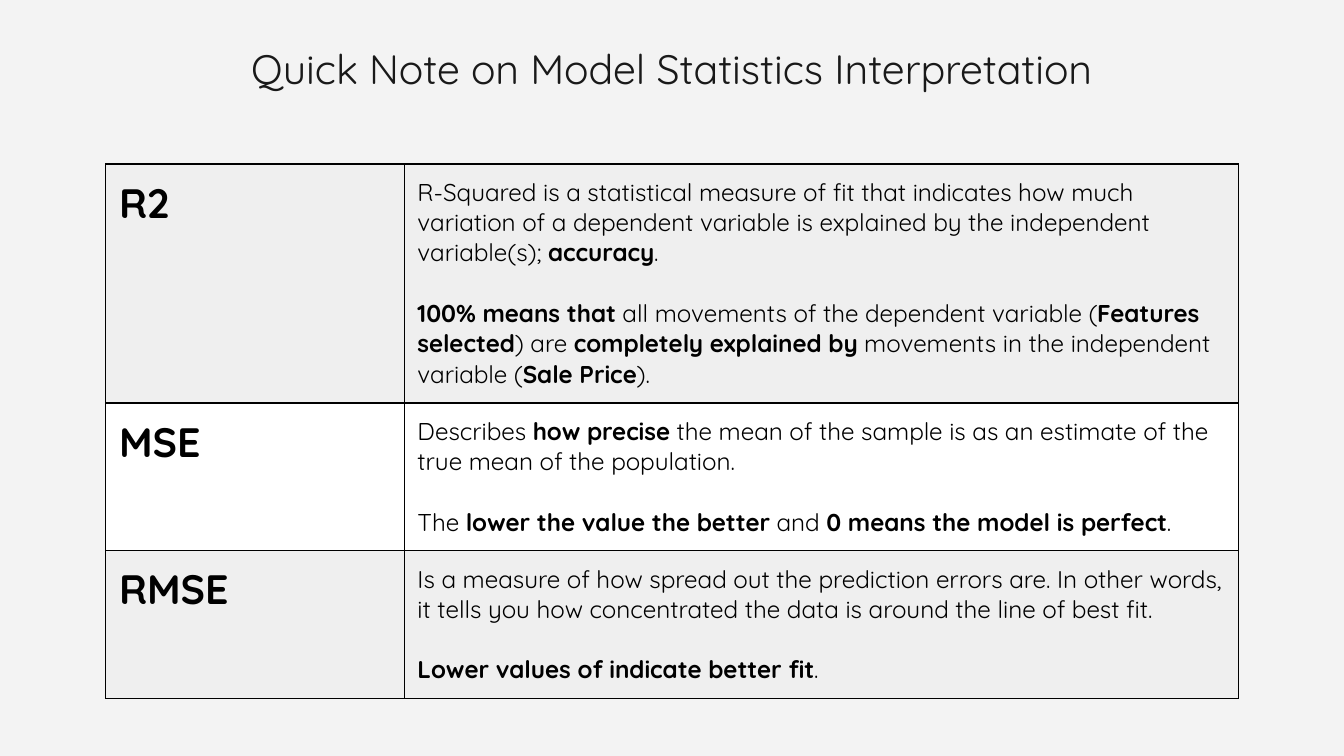
from lxml.etree import SubElement
from pptx import Presentation
from pptx.dml.color import RGBColor
from pptx.enum.text import MSO_ANCHOR, PP_ALIGN
from pptx.oxml.ns import qn
from pptx.util import Cm, Pt

# Content: **...** marks bold words
TITLE = "Quick Note on Model Statistics Interpretation"
STATISTICS = [
    ("**R2**", [
        "R-Squared is a statistical measure of fit that indicates how much variation of a "
        "dependent variable is explained by the independent variable(s); **accuracy**.",
        "**100% means that** all movements of the dependent variable (**Features selected**) are "
        "**completely explained by** movements in the independent variable (**Sale Price**).",
    ]),
    ("**MSE**", [
        "Describes **how precise** the mean of the sample is as an estimate of the true mean "
        "of the population.",
        "The **lower the value the better** and **0 means the model is perfect**.",
    ]),
    ("**RMSE**", [
        "Is a measure of how spread out the prediction errors are. In other words, it tells you "
        "how concentrated the data is around the line of best fit.",
        "**Lower values of indicate better fit**.",
    ]),
]

# Style
FONT = "Quicksand"
BACKGROUND = RGBColor(0xF3, 0xF3, 0xF3)
TITLE_COLOR = RGBColor(0x19, 0x19, 0x19)
BLACK = RGBColor(0x00, 0x00, 0x00)
ROW_FILLS = [RGBColor(0xEF, 0xEF, 0xEF), RGBColor(0xFF, 0xFF, 0xFF)]
LARGE, SMALL = 22, 13
PARAGRAPH_GAP = Pt(16.25)
INSET = Cm(0.25)
COLUMN_WIDTHS = [Cm(5.64), Cm(15.77)]
ROW_HEIGHTS = [Cm(4.52), Cm(2.79), Cm(2.79)]


def write_text(text_frame, paragraphs, size, color=BLACK, align=PP_ALIGN.LEFT):
    for index, text in enumerate(paragraphs):
        paragraph = text_frame.paragraphs[0] if index == 0 else text_frame.add_paragraph()
        paragraph.alignment = align
        if index:
            paragraph.space_before = PARAGRAPH_GAP
        for part, words in enumerate(text.split("**")):
            if words:
                run = paragraph.add_run()
                run.text = words
                run.font.name = FONT
                run.font.size = Pt(size)
                run.font.bold = part % 2 == 1
                run.font.color.rgb = color


def set_margins(target):
    target.margin_left = target.margin_right = INSET
    target.margin_top = target.margin_bottom = INSET


def add_borders(cell):
    properties = cell._tc.get_or_add_tcPr()
    for position, side in enumerate(("a:lnL", "a:lnR", "a:lnT", "a:lnB")):
        line = properties.makeelement(qn(side), {"w": str(Pt(0.75))})
        properties.insert(position, line)
        fill = SubElement(line, qn("a:solidFill"))
        SubElement(fill, qn("a:srgbClr"), val=str(BLACK))


presentation = Presentation()
presentation.slide_width, presentation.slide_height = Cm(25.4), Cm(14.29)
slide = presentation.slides.add_slide(presentation.slide_layouts[6])
slide.background.fill.solid()
slide.background.fill.fore_color.rgb = BACKGROUND

# Title
title = slide.shapes.add_textbox(Cm(2.79), Cm(0.58), Cm(19.81), Cm(1.42))
title.text_frame.word_wrap = True
title.text_frame.vertical_anchor = MSO_ANCHOR.MIDDLE
set_margins(title.text_frame)
write_text(title.text_frame, [TITLE], LARGE, color=TITLE_COLOR, align=PP_ALIGN.CENTER)

# Table of statistics
table = slide.shapes.add_table(
    len(STATISTICS), 2, Cm(2), Cm(3.1), sum(COLUMN_WIDTHS), sum(ROW_HEIGHTS)).table
for column, width in zip(table.columns, COLUMN_WIDTHS):
    column.width = width
for index, (name, description) in enumerate(STATISTICS):
    table.rows[index].height = ROW_HEIGHTS[index]
    name_cell, description_cell = table.rows[index].cells
    for cell in (name_cell, description_cell):
        set_margins(cell)
        cell.fill.solid()
        cell.fill.fore_color.rgb = ROW_FILLS[index % 2]
        add_borders(cell)
    write_text(name_cell.text_frame, [name], LARGE)
    write_text(description_cell.text_frame, description, SMALL)

presentation.save("out.pptx")
